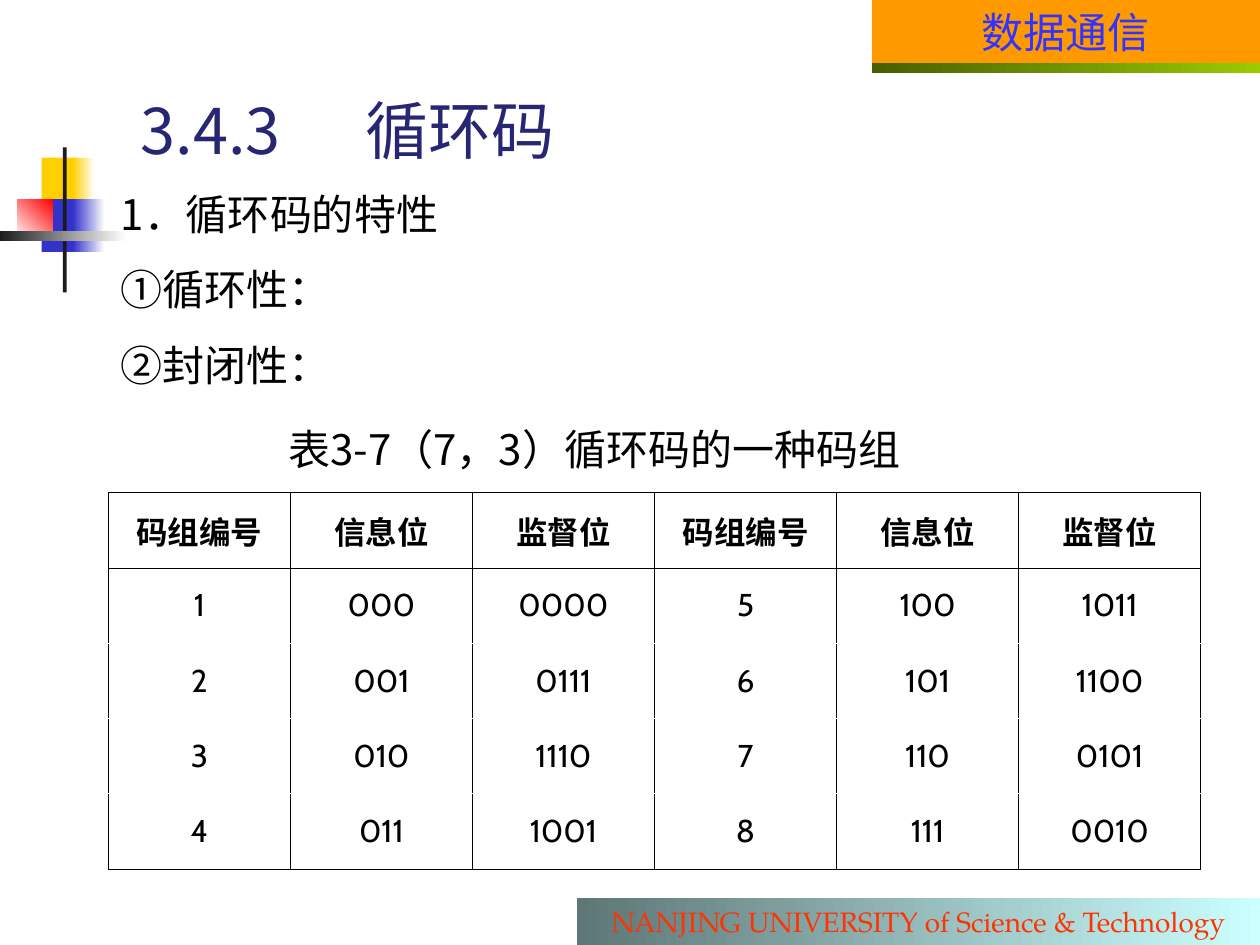
from typing import NamedTuple, Optional

from lxml import etree
from pptx import Presentation
from pptx.dml.color import RGBColor
from pptx.enum.shapes import MSO_SHAPE
from pptx.enum.text import MSO_ANCHOR, PP_ALIGN
from pptx.oxml.ns import qn
from pptx.util import Inches, Pt

RECT = MSO_SHAPE.RECTANGLE
LEFT, CENTER = PP_ALIGN.LEFT, PP_ALIGN.CENTER
MIDDLE = MSO_ANCHOR.MIDDLE

CABIN = "Cabin"
NOTO = "Noto Sans CJK SC"
PAGELLA = "TeX Gyre Pagella"

BLACK = RGBColor(0x00, 0x00, 0x00)
WHITE = RGBColor(0xFF, 0xFF, 0xFF)
YELLOW = RGBColor(0xFF, 0xCF, 0x01)
BLUE = RGBColor(0x33, 0x33, 0xCC)
RED = RGBColor(0xFF, 0x00, 0x00)
CHARCOAL = RGBColor(0x1C, 0x1C, 0x1C)
ORANGE = RGBColor(0xFF, 0x99, 0x00)
HEADER_BLUE = RGBColor(0x33, 0x33, 0xFF)
TEAL = RGBColor(0x5E, 0x76, 0x76)
PALE_CYAN = RGBColor(0xCC, 0xFF, 0xFF)
FOOTER_RED = RGBColor(0xFF, 0x33, 0x00)
OLIVE = RGBColor(0x47, 0x5E, 0x00)
LIME = RGBColor(0x99, 0xCC, 0x00)
NAVY = RGBColor(0x26, 0x26, 0x73)

LINE_HEIGHT = 1.3
BORDER_WIDTH = Pt(0.45)


class TextStyle(NamedTuple):
    size: float
    font: str
    color: RGBColor
    align: PP_ALIGN = LEFT
    bold: bool = False


class Block(NamedTuple):
    left: float
    top: float
    width: float
    height: float
    start: RGBColor
    end: Optional[RGBColor] = None
    angle: float = 0
    text: str = ""
    style: Optional[TextStyle] = None


class Label(NamedTuple):
    left: float
    top: float
    width: float
    height: float
    lines: list[str]
    style: TextStyle
    tab: float = 0


HEADER = TextStyle(24, CABIN, HEADER_BLUE, CENTER)
FOOTER = TextStyle(16, PAGELLA, FOOTER_RED, CENTER)
TITLE = TextStyle(36, NOTO, NAVY)
BODY = TextStyle(24, NOTO, BLACK)
CELL = TextStyle(18, CABIN, BLACK, CENTER)

BLOCKS = [
    Block(0.33, 1.25, 0.29, 0.38, YELLOW),
    Block(0.58, 1.25, 0.17, 0.42, YELLOW, WHITE),
    Block(0.33, 1.58, 0.25, 0.42, BLUE),
    Block(0.58, 1.58, 0.25, 0.42, BLUE, WHITE),
    Block(0.14, 1.58, 0.28, 0.33, WHITE, RED, 45),
    Block(0.5, 1.17, 0.03, 1.15, CHARCOAL),
    Block(0, 1.83, 1, 0.08, CHARCOAL, WHITE),
    Block(6.92, 0, 3.08, 0.5, ORANGE, text="数据通信", style=HEADER),
    Block(4.58, 7.13, 5.42, 0.37, TEAL, PALE_CYAN,
          text="NANJING UNIVERSITY of Science & Technology", style=FOOTER),
    Block(6.92, 0.5, 3.08, 0.08, OLIVE, LIME),
]

LABELS = [
    Label(0.86, 1.41, 8.2, 1.72, ["1．循环码的特性", "①循环性：", "②封闭性："], BODY),
    Label(2.19, 3.28, 6.17, 0.5, ["表3-7（7，3）循环码的一种码组"], BODY),
    Label(1.02, 0.63, 5.94, 0.7, ["3.4.3\t循环码"], TITLE, tab=1.78),
]

CODE_ROWS = [
    ["码组编号", "信息位", "监督位"] * 2,
    ["1", "000", "0000", "5", "100", "1011"],
    ["2", "001", "0111", "6", "101", "1100"],
    ["3", "010", "1110", "7", "110", "0101"],
    ["4", "011", "1001", "8", "111", "0010"],
]


def style_paragraph(p, style: TextStyle) -> None:
    p.alignment = style.align
    font = p.font
    font.size = Pt(style.size)
    font.bold = style.bold
    font.color.rgb = style.color
    font.name = style.font
    props = p._p.get_or_add_pPr().find(qn("a:defRPr"))
    etree.SubElement(props, qn("a:ea"), typeface=NOTO)


def add_block(s, block: Block) -> None:
    sp = s.shapes.add_shape(RECT, Inches(block.left), Inches(block.top),
                            Inches(block.width), Inches(block.height))
    sp.shadow.inherit = False
    sp.line.fill.background()
    if block.end is None:
        sp.fill.solid()
        sp.fill.fore_color.rgb = block.start
    else:
        sp.fill.gradient()
        sp.fill.gradient_angle = block.angle
        for stop, color in zip(sp.fill.gradient_stops, (block.start, block.end)):
            stop.color.rgb = color
    if block.style:
        tf = sp.text_frame
        tf.word_wrap = True
        tf.vertical_anchor = MIDDLE
        tf.text = block.text
        style_paragraph(tf.paragraphs[0], block.style)


def add_label(s, label: Label) -> None:
    box = s.shapes.add_textbox(Inches(label.left), Inches(label.top),
                               Inches(label.width), Inches(label.height))
    tf = box.text_frame
    tf.word_wrap = True
    for i, line in enumerate(label.lines):
        p = tf.add_paragraph() if i else tf.paragraphs[0]
        p.add_run().text = line
        p.line_spacing = Pt(LINE_HEIGHT * label.style.size)
        if i:
            p.space_before = Pt(12)
        if label.tab:
            tabs = etree.SubElement(p._p.get_or_add_pPr(), qn("a:tabLst"))
            etree.SubElement(tabs, qn("a:tab"), pos=str(Inches(label.tab)), algn="l")
        style_paragraph(p, label.style)


def set_border(cell, side: str, color: RGBColor) -> None:
    ln = etree.SubElement(cell._tc.get_or_add_tcPr(), qn(f"a:ln{side}"),
                          w=str(BORDER_WIDTH))
    fill = etree.SubElement(ln, qn("a:solidFill"))
    etree.SubElement(fill, qn("a:srgbClr"), val=str(color))


def add_code_table(s, rows: list[list[str]]) -> None:
    last = len(rows) - 1
    table = s.shapes.add_table(len(rows), len(rows[0]), Inches(0.86), Inches(3.91),
                               Inches(8.67), Inches(2.99)).table
    table.first_row = False
    table.horz_banding = False
    for r, row in enumerate(rows):
        borders = {
            "L": BLACK,
            "R": BLACK,
            "T": BLACK if r <= 1 else WHITE,
            "B": BLACK if r in (0, last) else WHITE,
        }
        for c, text in enumerate(row):
            cell = table.cell(r, c)
            cell.text = text
            cell.vertical_anchor = MIDDLE
            style_paragraph(cell.text_frame.paragraphs[0], CELL._replace(bold=r == 0))
            for side, color in borders.items():
                set_border(cell, side, color)
            cell.fill.background()


def main() -> None:
    prs = Presentation()
    prs.slide_width, prs.slide_height = Inches(10), Inches(7.5)
    s = prs.slides.add_slide(prs.slide_layouts[6])
    for block in BLOCKS:
        add_block(s, block)
    add_code_table(s, CODE_ROWS)
    for label in LABELS:
        add_label(s, label)
    prs.save("out.pptx")


if __name__ == "__main__":
    main()
